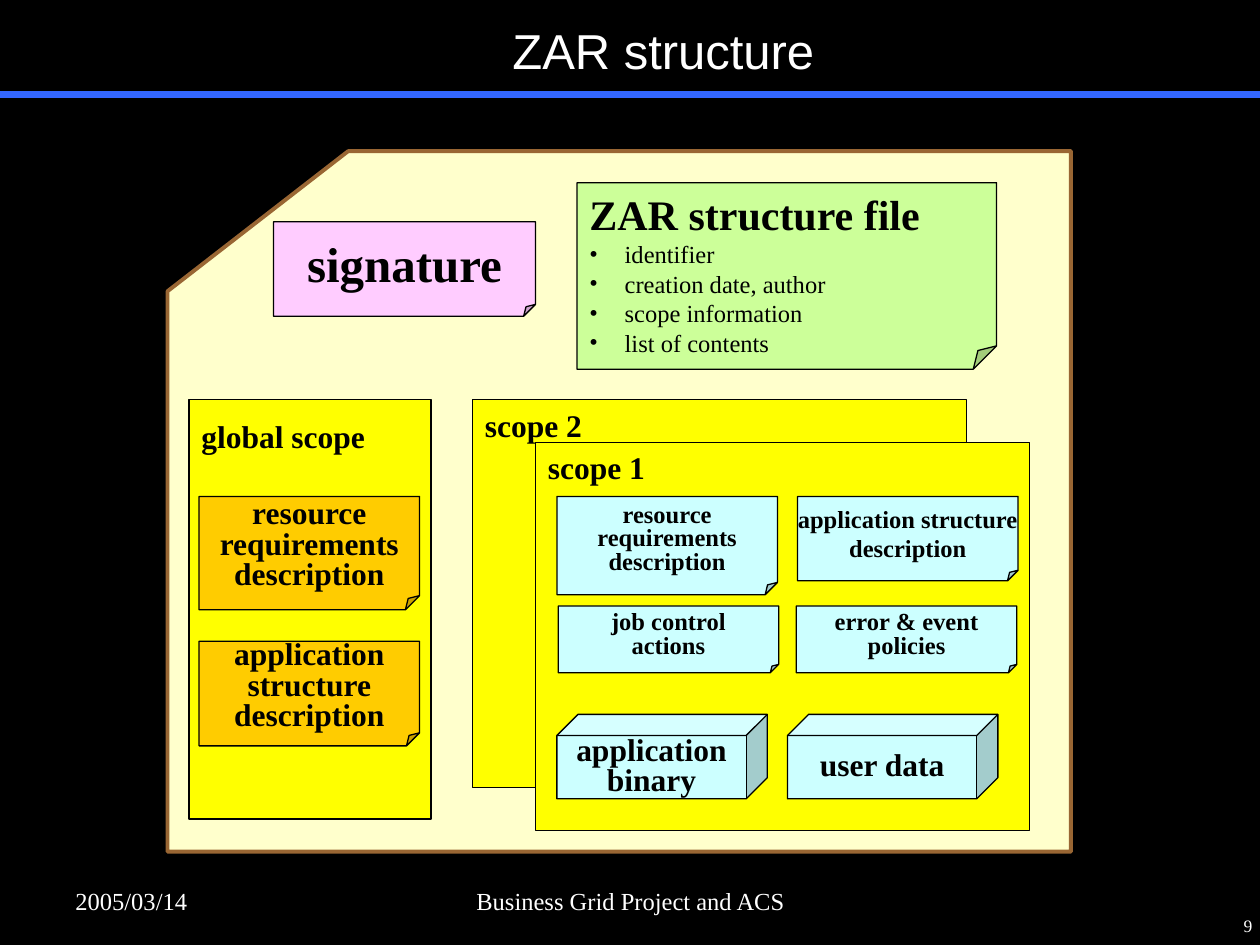
from lxml import etree
from pptx import Presentation
from pptx.dml.color import RGBColor
from pptx.enum import shapes, text
from pptx.oxml.ns import qn
from pptx.util import Inches, Pt

SERIF = "Times New Roman"
BLACK, WHITE = "000000", "FFFFFF"
YELLOW, ORANGE, CYAN = "FFFF00", "FFCC00", "CCFFFF"
LEFT, CENTER, RIGHT = text.PP_ALIGN.LEFT, text.PP_ALIGN.CENTER, text.PP_ALIGN.RIGHT
TOP, MIDDLE = text.MSO_ANCHOR.TOP, text.MSO_ANCHOR.MIDDLE
CARD, RECTANGLE = shapes.MSO_SHAPE.FLOWCHART_CARD, shapes.MSO_SHAPE.RECTANGLE
NOTE, CUBE = shapes.MSO_SHAPE.FOLDED_CORNER, shapes.MSO_SHAPE.CUBE

# Content: places are left, top, width, height in inches
TITLE = "ZAR structure"
ARCHIVE = (1.33, 1.2, 7.17, 5.56)
STRUCTURE_FILE = (4.58, 1.45, 3.33, 1.48)
STRUCTURE_HEADING = "ZAR structure file"
STRUCTURE_ITEMS = ["identifier", "creation date, author", "scope information",
                   "list of contents"]
SCOPES = [(1.5, 3.17, 1.92, 3.33), (3.75, 3.17, 3.92, 3.08), (4.25, 3.51, 3.92, 3.08)]
SCOPE_LABELS = [
    ("global scope", (1.5, 3.26, 1.5, 0.4)),
    ("scope 1", (4.25, 3.51, 0.97, 0.4)),
    ("scope 2", (3.75, 3.17, 0.97, 0.4)),
]
# preset, place, fill, size, line spacing, lines
PARTS = [
    (NOTE, (2.17, 1.76, 2.08, 0.75), "FFCCFF", 28, 1.0, ["signature"]),
    (NOTE, (1.58, 3.94, 1.75, 0.9), ORANGE, 18, 0.8,
     ["resource", "requirements", "description"]),
    (NOTE, (1.58, 5.09, 1.75, 0.83), ORANGE, 18, 0.8,
     ["application", "structure", "description"]),
    (NOTE, (4.42, 3.94, 1.75, 0.78), CYAN, 14, 0.8,
     ["resource", "requirements", "description"]),
    (NOTE, (6.33, 3.94, 1.75, 0.67), CYAN, 14, 1.0,
     ["application structure", "description"]),
    (NOTE, (4.43, 4.81, 1.75, 0.53), CYAN, 14, 0.8, ["job control", "actions"]),
    (NOTE, (6.32, 4.81, 1.75, 0.53), CYAN, 14, 0.8, ["error & event", "policies"]),
    (CUBE, (4.42, 5.67, 1.67, 0.67), CYAN, 18, 0.8, ["application", "binary"]),
    (CUBE, (6.25, 5.67, 1.67, 0.67), CYAN, 18, 0.8, ["user data"]),
]
# text, place, size, alignment, horizontal and vertical inset
FOOTERS = [
    ("2005/03/14", (0.5, 6.98, 2.33, 0.37), 14, LEFT, (0.1, 0.05)),
    ("Business Grid Project and ACS", (3.42, 6.98, 3.17, 0.37), 14, CENTER, (0.1, 0.05)),
    ("9", (8.25, 7.25, 1.71, 0.28), 10, RIGHT, (0.02, 0.01)),
]


def color(value):
    return RGBColor.from_string(value)


def set_values(target, values):
    for name, value in values.items():
        setattr(target, name, value)


def format_frame(frame, anchor=TOP, wrap=True, insets=(0.1, 0.05)):
    across, down = map(Inches, insets)
    set_values(frame, {"vertical_anchor": anchor, "word_wrap": wrap,
                       "margin_left": across, "margin_right": across,
                       "margin_top": down, "margin_bottom": down})


def write(paragraph, words, size, ink=BLACK, bold=False, align=LEFT, spacing=1.0,
          font=SERIF):
    paragraph.text = words
    set_values(paragraph, {"alignment": align, "line_spacing": spacing,
                           "space_before": Pt(0)})
    set_values(paragraph.font, {"name": font, "size": Pt(size), "bold": bold})
    paragraph.font.color.rgb = color(ink)


def add_bullet(paragraph, indent=0.28):
    properties = paragraph._p.get_or_add_pPr()
    properties.set("marL", str(Inches(indent)))
    properties.set("indent", str(-Inches(indent)))
    etree.SubElement(properties, qn("a:buFont")).set("typeface", SERIF)
    etree.SubElement(properties, qn("a:buChar")).set("char", "•")


def set_fold(shape, share=0.125):
    values = shape._element.spPr.find(qn("a:prstGeom")).find(qn("a:avLst"))
    guide = etree.SubElement(values, qn("a:gd"))
    guide.set("name", "adj")
    guide.set("fmla", f"val {int(share * 100000)}")


def add_shape(slide, preset, place, fill, line=BLACK, weight=0.75):
    shape = slide.shapes.add_shape(preset, *map(Inches, place))
    shape.shadow.inherit = False
    shape.fill.solid()
    shape.fill.fore_color.rgb = color(fill)
    shape.line.color.rgb = color(line)
    shape.line.width = Pt(weight)
    if preset == NOTE:
        set_fold(shape)
    return shape


def add_label(slide, place):
    return slide.shapes.add_textbox(*map(Inches, place)).text_frame


def main():
    presentation = Presentation()
    presentation.slide_width, presentation.slide_height = Inches(10), Inches(7.5)
    slide = presentation.slides.add_slide(presentation.slide_layouts[5])
    slide.background.fill.solid()
    slide.background.fill.fore_color.rgb = color(BLACK)

    # Title and rule
    title = slide.shapes.title
    set_values(title, {"left": Inches(1.66), "top": Inches(0),
                       "width": Inches(7.21), "height": Inches(0.8)})
    format_frame(title.text_frame, MIDDLE)
    write(title.text_frame.paragraphs[0], TITLE, 28, WHITE, align=CENTER, font="Arial")
    rule = slide.shapes.add_connector(shapes.MSO_CONNECTOR.STRAIGHT, Inches(0),
                                      Inches(0.75), Inches(10), Inches(0.75))
    rule.line.color.rgb = color("3366FF")
    rule.line.width = Pt(4.5)
    etree.SubElement(rule._element.spPr, qn("a:effectLst"))

    # Archive and its structure file
    add_shape(slide, CARD, ARCHIVE, "FFFFCC", "996633", 2.25)
    frame = add_shape(slide, NOTE, STRUCTURE_FILE, "CCFF99").text_frame
    format_frame(frame)
    write(frame.paragraphs[0], STRUCTURE_HEADING, 24, bold=True)
    for item in STRUCTURE_ITEMS:
        paragraph = frame.add_paragraph()
        add_bullet(paragraph)
        write(paragraph, item, 14)

    # Scopes and their labels
    for place in SCOPES:
        add_shape(slide, RECTANGLE, place, YELLOW)
    for words, place in SCOPE_LABELS:
        frame = add_label(slide, place)
        format_frame(frame, wrap=False)
        frame.auto_size = text.MSO_AUTO_SIZE.SHAPE_TO_FIT_TEXT
        write(frame.paragraphs[0], words, 18, bold=True)

    # Documents and data blocks
    for preset, place, fill, size, spacing, lines in PARTS:
        frame = add_shape(slide, preset, place, fill).text_frame
        format_frame(frame, MIDDLE, wrap=False)
        for index, words in enumerate(lines):
            paragraph = frame.add_paragraph() if index else frame.paragraphs[0]
            write(paragraph, words, size, bold=True, align=CENTER, spacing=spacing)

    # Footer
    for words, place, size, align, insets in FOOTERS:
        frame = add_label(slide, place)
        format_frame(frame, insets=insets)
        write(frame.paragraphs[0], words, size, WHITE, align=align)

    presentation.save("out.pptx")


if __name__ == "__main__":
    main()
